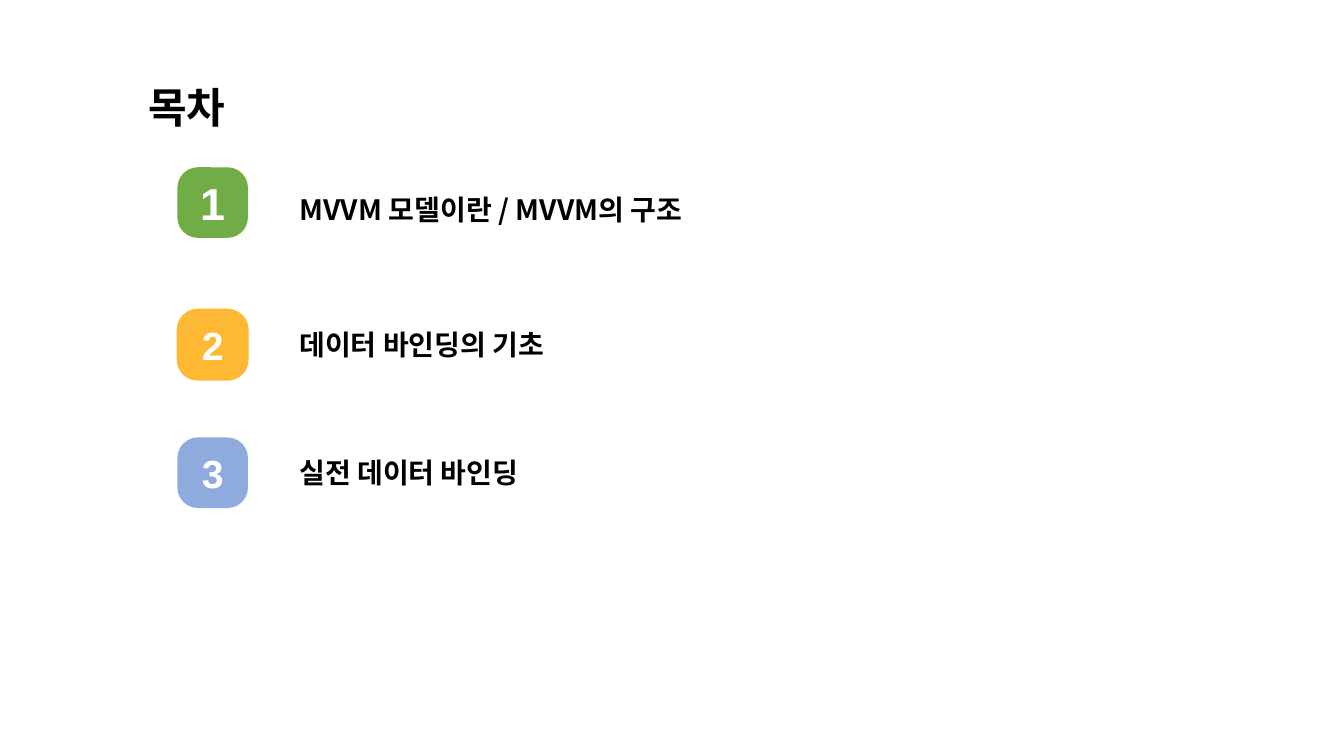
"""Build the table-of-contents slide."""
from lxml.etree import SubElement
from pptx import Presentation
from pptx.dml.color import RGBColor
from pptx.enum.shapes import MSO_SHAPE
from pptx.enum.text import MSO_ANCHOR, MSO_AUTO_SIZE, PP_ALIGN
from pptx.oxml.ns import qn
from pptx.util import Inches, Pt

CELL = Inches(0.1)
COLORS = {
    "ink": "000000",
    "paper": "FFFFFF",
    "green": "70AD47",
    "amber": "FEB834",
    "blue": "8FAADC",
}
BADGE_COLUMN, BADGE_SIZE = 17.6, 7
TOPIC_COLUMN, TOPIC_WIDTH, TOPIC_HEIGHT = 28.7, 62.9, 4.4
TOPICS = [
    ("1", "MVVM 모델이란 / MVVM의 구조", "green", 32, 16.6, 18.6),
    ("2", "데이터 바인딩의 기초", "amber", 28, 30.7, 32),
    ("3", "실전 데이터 바인딩", "blue", 28, 43.4, 44.7),
]


def cells(*counts):
    """Turn counts of grid cells into lengths."""
    return [round(count * CELL) for count in counts]


def color(key):
    """Look up a named colour."""
    return RGBColor.from_string(COLORS[key])


def write(holder, text, size, font="Noto Sans CJK KR", ink="ink",
          align=PP_ALIGN.LEFT, side_inset=1):
    """Put one bold line of formatted text into a shape."""
    frame = holder.text_frame
    frame.word_wrap = True
    frame.auto_size = MSO_AUTO_SIZE.NONE
    frame.vertical_anchor = MSO_ANCHOR.MIDDLE
    frame.margin_left, frame.margin_right = cells(side_inset, side_inset)
    frame.margin_top, frame.margin_bottom = cells(0.5, 0.5)
    line = frame.paragraphs[0]
    line.alignment = align
    run = line.add_run()
    run.text = text
    run.font.name = font
    run.font.size = Pt(size)
    run.font.bold = True
    run.font.color.rgb = color(ink)
    SubElement(run.font._element, qn("a:ea"), typeface=font)


def add_title(slide, text):
    """Move and fill the title placeholder."""
    title = slide.shapes.title
    title.left, title.top, title.width, title.height = cells(13.7, 7.5, 60.6, 6.1)
    write(title, text, size=30)


def add_badge(slide, number, fill, size, row):
    """Draw a rounded square with a topic number."""
    badge = slide.shapes.add_shape(
        MSO_SHAPE.ROUNDED_RECTANGLE,
        *cells(BADGE_COLUMN, row, BADGE_SIZE, BADGE_SIZE))
    badge.adjustments[0] = 0.29
    badge.shadow.inherit = False
    badge.fill.solid()
    badge.fill.fore_color.rgb = color(fill)
    if fill == "amber":
        badge.line.color.rgb = color(fill)
        badge.line.width = Pt(1)
    else:
        badge.line.fill.background()
    write(badge, number, size, font="Arial", ink="paper",
          align=PP_ALIGN.CENTER, side_inset=0)


def add_topic(slide, text, row):
    """Write a topic beside its badge."""
    topic = slide.shapes.add_textbox(
        *cells(TOPIC_COLUMN, row, TOPIC_WIDTH, TOPIC_HEIGHT))
    write(topic, text, size=20)


def main():
    """Build and save the slide."""
    deck = Presentation()
    deck.slide_width, deck.slide_height = Inches(13.33), Inches(7.5)
    slide = deck.slides.add_slide(deck.slide_layouts.get_by_name("Title Only"))
    add_title(slide, "목차")
    for number, text, fill, size, badge_row, topic_row in TOPICS:
        add_badge(slide, number, fill, size, badge_row)
        add_topic(slide, text, topic_row)
    deck.save("out.pptx")


main()
